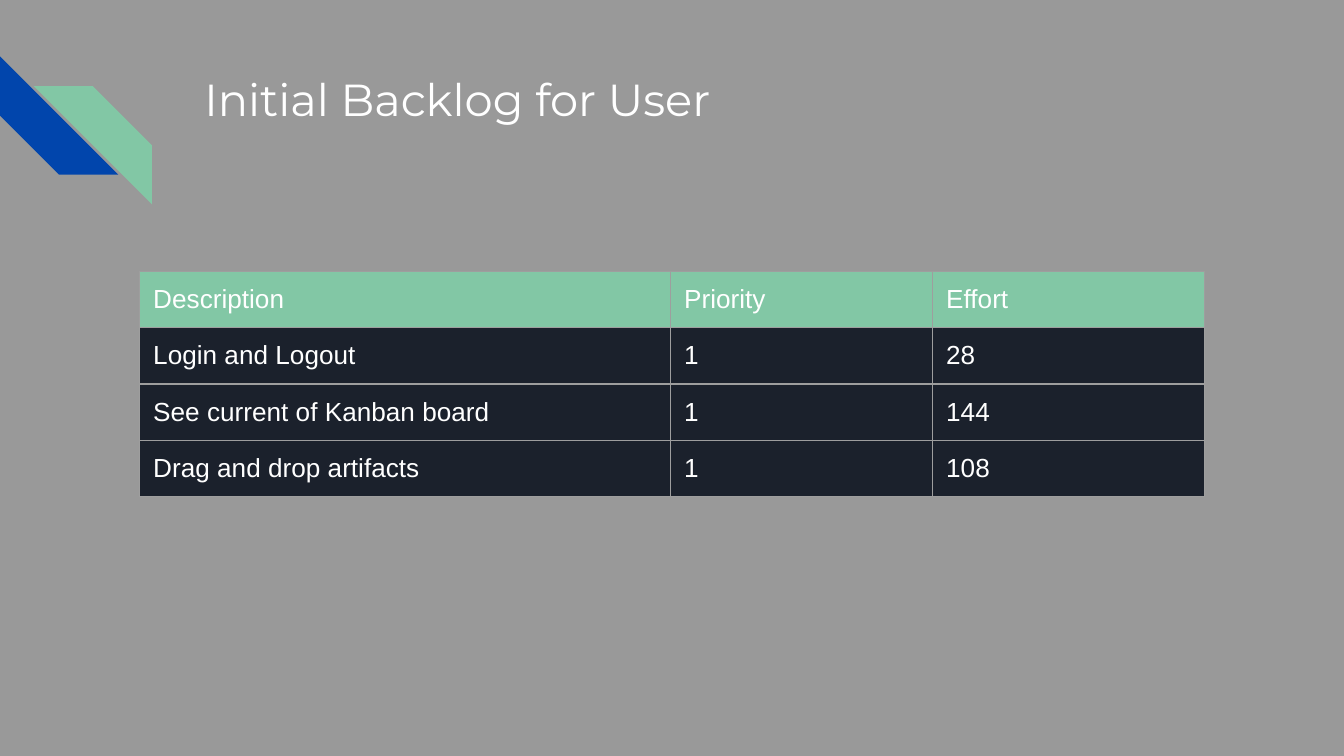
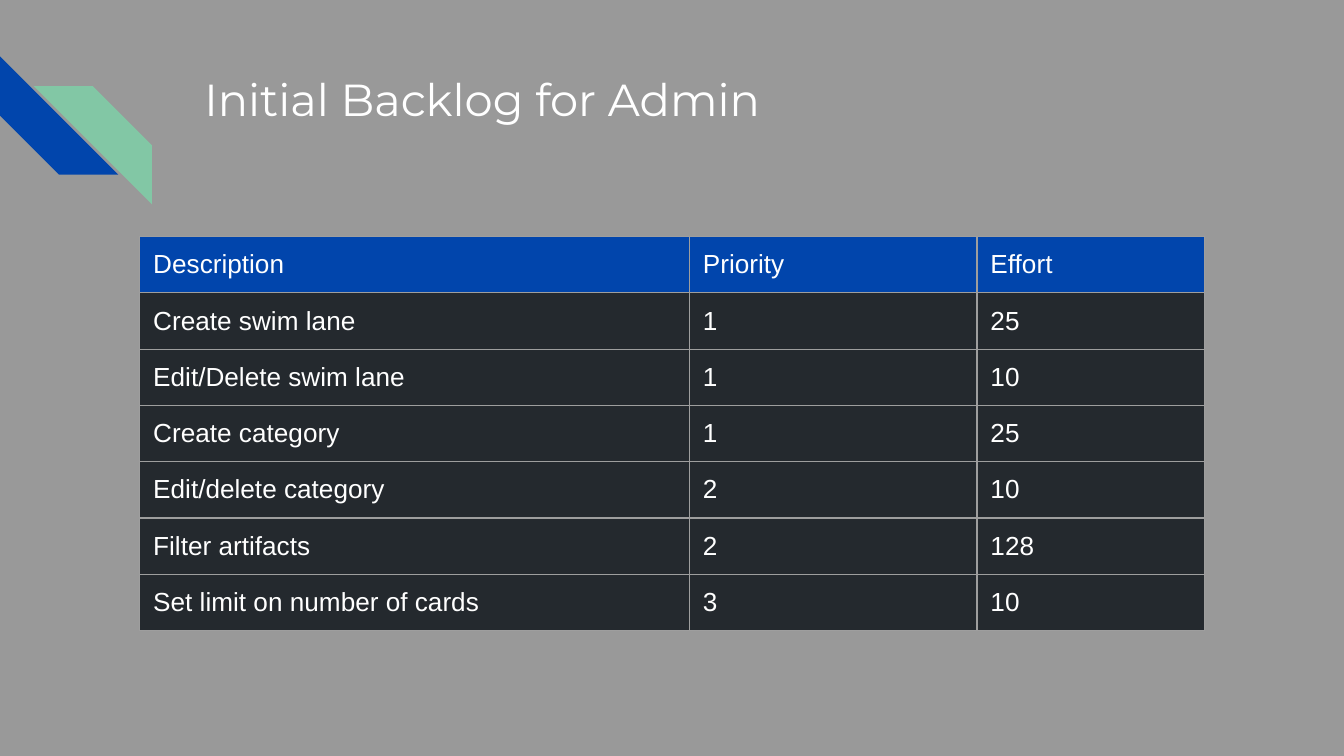
from dataclasses import dataclass

from lxml import etree
from pptx import Presentation
from pptx.dml.color import RGBColor
from pptx.enum.shapes import MSO_SHAPE
from pptx.enum.text import MSO_ANCHOR, MSO_AUTO_SIZE, PP_ALIGN
from pptx.oxml.ns import qn
from pptx.util import Inches, Pt

DIAGONAL_STRIPE = MSO_SHAPE.DIAGONAL_STRIPE
TOP = MSO_ANCHOR.TOP
LEFT = PP_ALIGN.LEFT
NO_AUTOFIT = MSO_AUTO_SIZE.NONE
TITLE_ONLY = 5

SLIDE_WIDTH = Inches(10)
SLIDE_HEIGHT = Inches(5.625)
GRID_COLUMNS = 100  # square cells, so rows share the column unit
INSET = 1


@dataclass(frozen=True)
class Theme:
    background: str = "999999"
    blue: str = "0145AC"
    green: str = "82C7A5"
    navy: str = "1B212C"
    charcoal: str = "24292E"
    text: str = "FFFFFF"
    border: str = "9E9E9E"
    border_width: float = 0.75
    title_font: str = "Montserrat"
    title_size: int = 24
    body_font: str = "Arial"
    body_size: int = 14


THEME = Theme()


@dataclass(frozen=True)
class Stripe:
    left: float
    top: float
    rotation: int
    color: str


@dataclass(frozen=True)
class Backlog:
    title: str
    top: float
    column_widths: tuple[float, ...]
    header_color: str
    body_color: str
    items: tuple[tuple[str, int, int], ...]


STRIPE_SIZE = 8.8
STRIPES = (
    Stripe(0, 4.2, 270, THEME.blue),
    Stripe(2.5, 6.4, 90, THEME.green),
)
TITLE_BOX = {"left": 14.2, "top": 4.3, "width": 77, "height": 10}
TABLE_LEFT = 10.4
ROW_HEIGHT = 4.17
HEADINGS = ("Description", "Priority", "Effort")
BACKLOGS = (
    Backlog(
        "Initial Backlog for User", 20.2, (39.5, 19.5, 20.2), THEME.green, THEME.navy,
        (
            ("Login and Logout", 1, 28),
            ("See current of Kanban board", 1, 144),
            ("Drag and drop artifacts", 1, 108),
        ),
    ),
    Backlog(
        "Initial Backlog for Admin", 17.6, (40.9, 21.4, 16.9), THEME.blue, THEME.charcoal,
        (
            ("Create swim lane", 1, 25),
            ("Edit/Delete swim lane", 1, 10),
            ("Create category", 1, 25),
            ("Edit/delete category", 2, 10),
            ("Filter artifacts", 2, 128),
            ("Set limit on number of cards", 3, 10),
        ),
    ),
)


def grid(cells: float) -> int:
    """Convert grid cells to a length."""
    return round(SLIDE_WIDTH * cells / GRID_COLUMNS)


def apply(target, formats: dict) -> None:
    for attribute, value in formats.items():
        setattr(target, attribute, value)


def fill_solid(fill, color: str) -> None:
    fill.solid()
    fill.fore_color.rgb = RGBColor.from_string(color)


def write_text(frame, text: str, font_name: str, size: int) -> None:
    frame.text = text
    paragraph = frame.paragraphs[0]
    paragraph.alignment = LEFT
    font = paragraph.runs[0].font
    apply(font, {"name": font_name, "size": Pt(size), "bold": False})
    font.color.rgb = RGBColor.from_string(THEME.text)


def draw_stripe(slide, stripe: Stripe) -> None:
    side = grid(STRIPE_SIZE)
    shape = slide.shapes.add_shape(
        DIAGONAL_STRIPE, grid(stripe.left), grid(stripe.top), side, side
    )
    shape.rotation = stripe.rotation
    shape.shadow.inherit = False
    fill_solid(shape.fill, stripe.color)
    shape.line.fill.background()


def draw_title(slide, text: str) -> None:
    title = slide.shapes.title
    apply(title, {side: grid(cells) for side, cells in TITLE_BOX.items()})
    frame = title.text_frame
    margins = {f"margin_{side}": grid(INSET) for side in ("left", "top", "right", "bottom")}
    apply(frame, margins | {
        "vertical_anchor": TOP, "word_wrap": True, "auto_size": NO_AUTOFIT,
    })
    write_text(frame, text, THEME.title_font, THEME.title_size)


def add_borders(cell) -> None:
    properties = cell._tc.get_or_add_tcPr()
    for index, edge in enumerate(("a:lnL", "a:lnR", "a:lnT", "a:lnB")):
        line = etree.Element(qn(edge), w=str(Pt(THEME.border_width)))
        line_fill = etree.SubElement(line, qn("a:solidFill"))
        etree.SubElement(line_fill, qn("a:srgbClr"), val=THEME.border)
        properties.insert(index, line)


def draw_cell(cell, text: str, color: str) -> None:
    margins = {f"margin_{side}": grid(INSET) for side in ("left", "top", "right", "bottom")}
    apply(cell, margins | {"vertical_anchor": TOP})
    write_text(cell.text_frame, text, THEME.body_font, THEME.body_size)
    fill_solid(cell.fill, color)
    add_borders(cell)


def draw_backlog_table(slide, backlog: Backlog) -> None:
    records = (HEADINGS, *backlog.items)
    table = slide.shapes.add_table(
        len(records), len(HEADINGS), grid(TABLE_LEFT), grid(backlog.top),
        grid(sum(backlog.column_widths)), grid(ROW_HEIGHT * len(records)),
    ).table
    apply(table, {"first_row": False, "horz_banding": False})
    for column, width in zip(table.columns, backlog.column_widths):
        column.width = grid(width)
    for index, (row, record) in enumerate(zip(table.rows, records)):
        row.height = grid(ROW_HEIGHT)
        color = backlog.body_color if index else backlog.header_color
        for cell, value in zip(row.cells, record):
            draw_cell(cell, str(value), color)


def main() -> None:
    deck = Presentation()
    apply(deck, {"slide_width": SLIDE_WIDTH, "slide_height": SLIDE_HEIGHT})
    fill_solid(deck.slide_master.background.fill, THEME.background)
    for backlog in BACKLOGS:
        slide = deck.slides.add_slide(deck.slide_layouts[TITLE_ONLY])
        for stripe in STRIPES:
            draw_stripe(slide, stripe)
        draw_title(slide, backlog.title)
        draw_backlog_table(slide, backlog)
    deck.save("out.pptx")


if __name__ == "__main__":
    main()
